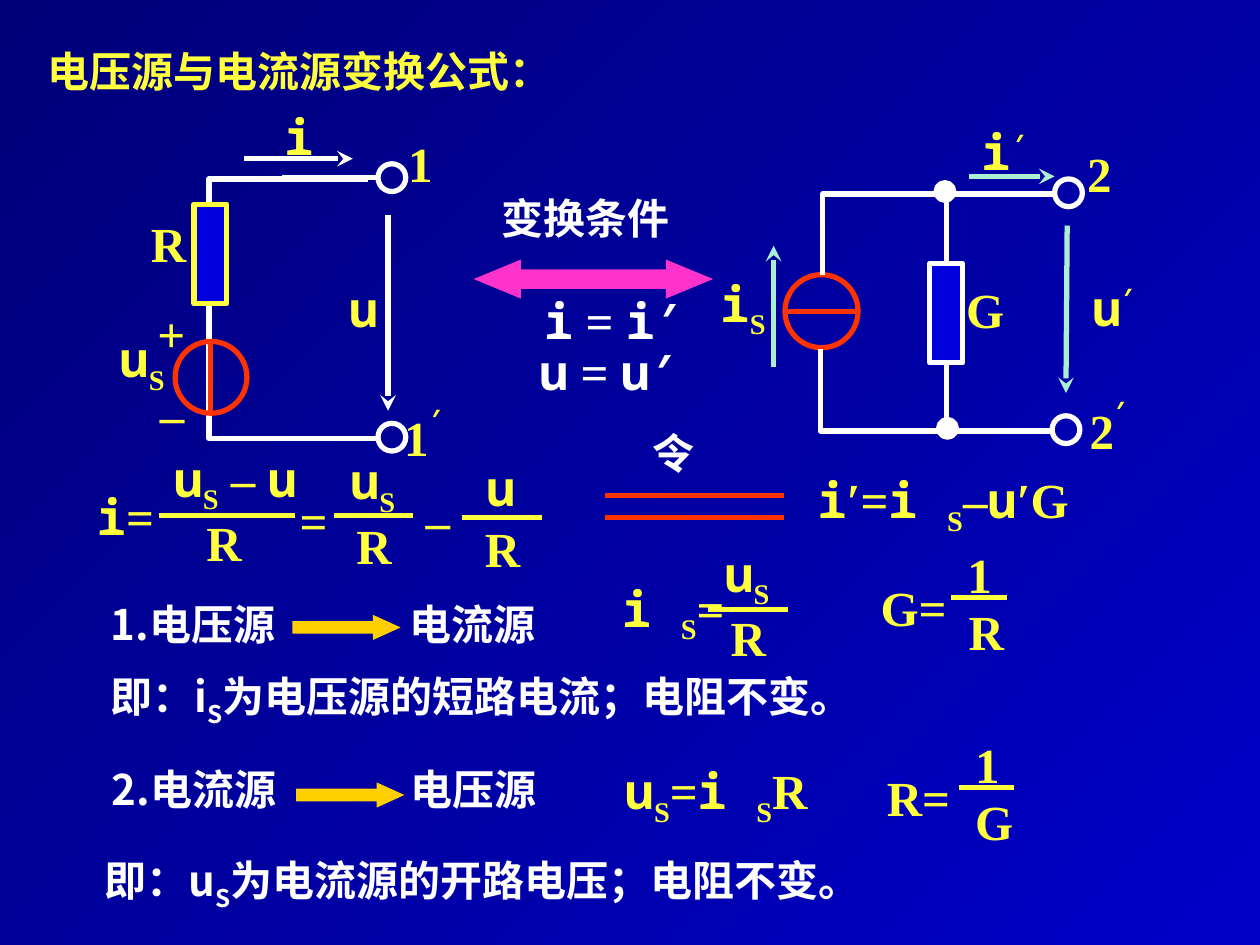
from dataclasses import dataclass
from typing import NamedTuple

from lxml import etree
from pptx import Presentation
from pptx.dml.color import RGBColor
from pptx.enum.shapes import MSO_CONNECTOR, MSO_SHAPE
from pptx.enum.text import MSO_ANCHOR, PP_ALIGN
from pptx.oxml.ns import qn
from pptx.util import Cm, Pt

STRAIGHT = MSO_CONNECTOR.STRAIGHT
OVAL, RECTANGLE = MSO_SHAPE.OVAL, MSO_SHAPE.RECTANGLE
RIGHT_ARROW, DOUBLE_ARROW = MSO_SHAPE.RIGHT_ARROW, MSO_SHAPE.LEFT_RIGHT_ARROW
LEFT, MIDDLE, BOTTOM = PP_ALIGN.LEFT, MSO_ANCHOR.MIDDLE, MSO_ANCHOR.BOTTOM


@dataclass(frozen=True)
class Theme:
    dark: str = "000078"
    light: str = "0000C8"
    yellow: str = "FFFF3D"
    white: str = "FFFFFF"
    red: str = "FF3300"
    mint: str = "AAEFD1"
    pink: str = "FF33CC"
    gold: str = "FFCF01"
    resistor: str = "0000DC"
    title: str = "Lato"
    chinese: str = "Noto Sans CJK SC"
    mono: str = "Noto Sans Mono"
    serif: str = "Times New Roman"
    formula_size: int = 28
    chinese_size: int = 24
    stroke: int = 3


THEME = Theme()


class Span(NamedTuple):
    text: str
    font: str
    baseline: int = 0


class Label(NamedTuple):
    x: float
    y: float
    spans: tuple[Span, ...]
    width: float = 0.7
    height: float = 0.57
    color: str = THEME.yellow
    size: int = THEME.formula_size


class Fraction(NamedTuple):
    x: float
    y: float
    width: float
    top: tuple[Span, ...]
    bottom: tuple[Span, ...]
    top_offset: tuple[float, float]
    bottom_offset: tuple[float, float]


def mono(text: str) -> Span:
    return Span(text, THEME.mono)


def serif(text: str) -> Span:
    return Span(text, THEME.serif)


def chinese(text: str) -> Span:
    return Span(text, THEME.chinese)


SUB_S = Span("S", THEME.serif, -25000)
CHINESE_SUB_S = Span("S", THEME.chinese, -25000)
PRIME = (Span("′", THEME.mono, 30000),)
U, I, U_S = (mono("u"),), (mono("i"),), (mono("u"), SUB_S)
R, G, ONE, TWO = ((serif(letter),) for letter in "RG12")


def inches(*values: float) -> list[Cm]:
    return [Cm(value * 2.54) for value in values]


def write(para, spans: tuple[Span, ...], color: str, size: int) -> None:
    para.alignment = LEFT
    para.font.size, para.font.bold = Pt(size), True
    para.font.color.rgb = RGBColor.from_string(color)
    for text, font, baseline in spans:
        span = para.add_run()
        span.text = text
        span.font.name = font
        properties = span._r.get_or_add_rPr()
        etree.SubElement(properties, qn("a:ea"), typeface=font)
        if baseline:
            properties.set("baseline", str(baseline))


def draw_label(page, label: Label) -> None:
    # Lines set in serif only sit slightly lower
    only_serif = all(span.font == THEME.serif for span in label.spans)
    top = label.y + (0.03 if only_serif else 0)
    box = page.shapes.add_textbox(*inches(label.x, top, label.width, label.height))
    box.text_frame.word_wrap = True
    box.text_frame.vertical_anchor = MIDDLE
    write(box.text_frame.paragraphs[0], label.spans, label.color, label.size)


def draw_chinese(page, x: float, y: float, width: float, *spans: Span) -> None:
    draw_label(page, Label(x, y, spans, width, 0.5, THEME.white, THEME.chinese_size))


def paint(shape, fill: str | None, line: str | None) -> None:
    shape.shadow.inherit = False
    if fill:
        shape.fill.solid()
        shape.fill.fore_color.rgb = RGBColor.from_string(fill)
    else:
        shape.fill.background()
    if line:
        shape.line.color.rgb = RGBColor.from_string(line)
        shape.line.width = Pt(THEME.stroke)
    else:
        shape.line.fill.background()


def draw_shape(page, kind, x: float, y: float, width: float, height: float,
               fill: str | None = None, line: str | None = None, head: float | None = None) -> None:
    shape = page.shapes.add_shape(kind, *inches(x, y, width, height))
    if head:
        shape.adjustments[0], shape.adjustments[1] = 0.5, head
    paint(shape, fill, line)


def draw_line(page, x1: float, y1: float, x2: float, y2: float, color: str, arrow: bool = False) -> None:
    line = page.shapes.add_connector(STRAIGHT, *inches(x1, y1, x2, y2))
    line.line.color.rgb = RGBColor.from_string(color)
    line.line.width = Pt(THEME.stroke)
    if arrow:
        etree.SubElement(line.line._get_or_add_ln(), qn("a:tailEnd"), type="stealth")
    etree.SubElement(line._element.spPr, qn("a:effectLst"))


def draw_wire(page, *points: tuple[float, float]) -> None:
    start, *rest = [inches(*point) for point in points]
    builder = page.shapes.build_freeform(*start)
    builder.add_line_segments(rest, close=False)
    paint(builder.convert_to_shape(), None, THEME.white)


def draw_fraction(page, part: Fraction) -> None:
    draw_line(page, part.x, part.y, part.x + part.width, part.y, THEME.yellow)
    for spans, (dx, dy) in ((part.top, part.top_offset), (part.bottom, part.bottom_offset)):
        draw_label(page, Label(part.x + dx, part.y + dy, spans, 1.24))


def draw_current_source_circuit(page) -> None:
    draw_shape(page, OVAL, 6.23, 2.18, 0.58, 0.58, line=THEME.red)
    draw_line(page, 6.24, 2.47, 6.82, 2.47, THEME.red)
    draw_wire(page, (6.53, 2.18), (6.53, 1.54), (8.39, 1.54))
    draw_wire(page, (6.51, 2.77), (6.51, 3.42), (8.37, 3.42))
    draw_line(page, 7.51, 1.54, 7.51, 3.42, THEME.white)
    draw_shape(page, RECTANGLE, 7.38, 2.09, 0.26, 0.79, THEME.resistor, THEME.white)
    for x, y in ((8.37, 1.42), (8.35, 3.3)):
        draw_shape(page, OVAL, x, y, 0.22, 0.22, line=THEME.white)
    for x, y in ((7.43, 1.45), (7.45, 3.33)):
        draw_shape(page, OVAL, x, y, 0.14, 0.14, THEME.white, THEME.white)
    for ends in ((6.14, 2.91, 6.14, 1.95), (8.47, 1.79, 8.46, 3.12), (7.69, 1.4, 8.37, 1.4)):
        draw_line(page, *ends, THEME.mint, arrow=True)
    for x, y, spans in ((5.62, 2.15, (mono("i"), SUB_S)), (8.57, 2.15, U), (8.79, 2.13, PRIME),
                        (7.69, 0.91, I), (7.93, 0.91, PRIME), (7.57, 2.14, G),
                        (8.53, 1.06, TWO), (8.55, 3.1, TWO), (8.73, 3.03, PRIME)):
        draw_label(page, Label(x, y, spans))


def draw_voltage_source_circuit(page) -> None:
    draw_wire(page, (2.92, 1.42), (1.66, 1.42), (1.66, 3.48), (3.02, 3.48))
    draw_line(page, 2.24, 1.41, 3, 1.41, THEME.white)
    draw_shape(page, RECTANGLE, 1.54, 1.62, 0.26, 0.79, THEME.resistor, THEME.yellow)
    draw_shape(page, OVAL, 1.39, 2.71, 0.57, 0.57, line=THEME.red)
    draw_line(page, 1.67, 2.71, 1.67, 3.28, THEME.red)
    for y in (1.3, 3.36):
        draw_shape(page, OVAL, 3, y, 0.22, 0.22, line=THEME.white)
    for ends in ((3.08, 1.71, 3.08, 3.26), (1.94, 1.26, 2.8, 1.26)):
        draw_line(page, *ends, THEME.white, arrow=True)
    for x, y, spans in ((1.15, 2.33, (serif("+"),)), (1.17, 2.97, (serif("–"),)), (0.85, 2.59, U_S),
                        (1.1, 1.61, R), (2.67, 2.16, U), (2.16, 0.79, I),
                        (3.14, 0.98, ONE), (3.11, 3.15, ONE), (3.3, 3.09, PRIME)):
        draw_label(page, Label(x, y, spans))


def draw_conditions(page) -> None:
    draw_shape(page, DOUBLE_ARROW, 3.76, 2.06, 1.9, 0.31, THEME.pink, head=1.21)
    draw_chinese(page, 3.88, 1.48, 1.78, chinese("变换条件"))
    for x, y, letter in ((4.22, 2.24, "i"), (4.18, 2.65, "u")):
        spans = (mono(letter), serif(" = "), mono(letter + "′"))
        draw_label(page, Label(x, y, spans, 1.67, 0.59, THEME.white))


def draw_formulas(page) -> None:
    for x, y, spans in (
        (0.67, 3.81, (mono("i"), serif("="))), (2.28, 3.81, (serif("="),)), (3.28, 3.81, (serif("–"),)),
        (6.39, 3.71, (mono("i"), serif("′="), mono("i "), SUB_S, serif("–"), mono("u"), serif("′G"))),
        (4.84, 4.57, (mono("i "), SUB_S, serif("="))), (6.89, 4.5, (serif("G="),)),
        (4.86, 6.02, (mono("u"), SUB_S, serif("="), mono("i "), SUB_S, serif("R"))),
        (6.94, 6.01, (serif("R="),)),
    ):
        draw_label(page, Label(x, y, spans, 2.86))
    difference = (*U_S, serif(" – "), mono("u"))
    for part in (
        Fraction(1.26, 4.09, 1.08, difference, R, (0.02, -0.55), (0.28, -0.1)),
        Fraction(2.65, 4.09, 0.63, U_S, R, (0.03, -0.53), (0.08, -0.08)),
        Fraction(3.67, 4.11, 0.63, U, R, (0.09, -0.53), (0.08, -0.08)),
        Fraction(5.62, 4.84, 0.63, U_S, R, (0.03, -0.55), (0.08, -0.1)),
        Fraction(7.55, 4.74, 0.44, ONE, R, (0.03, -0.5), (0.04, -0.05)),
        Fraction(7.61, 6.25, 0.44, ONE, G, (0.03, -0.5), (0.03, -0.05)),
    ):
        draw_fraction(page, part)
    # Long equals sign
    for y in (3.93, 4.11):
        draw_line(page, 4.8, y, 6.22, y, THEME.red)
    draw_chinese(page, 5.08, 3.34, 0.77, chinese("令"))


def draw_rules(page) -> None:
    for x, y, source, target, arrow_x, arrow_y in (
        (0.78, 4.7, "1.电压源", "电流源", 2.32, 4.88),
        (0.79, 6.01, "2.电流源", "电压源", 2.35, 6.21),
    ):
        draw_chinese(page, x, y, 1.7, chinese(source))
        draw_chinese(page, x + 2.37, y, 1.5, chinese(target))
        draw_shape(page, RIGHT_ARROW, arrow_x, arrow_y, 0.86, 0.2, THEME.gold, head=1.1)
    for x, y, start, rest in ((0.78, 5.3, "即：i", "为电压源的短路电流；电阻不变。"),
                              (0.73, 6.76, "即：u", "为电流源的开路电压；电阻不变。")):
        draw_chinese(page, x, y, 7.45, chinese(start), CHINESE_SUB_S, chinese(rest))


def main() -> None:
    deck = Presentation()
    deck.slide_width, deck.slide_height = inches(10, 7.5)
    page = deck.slides.add_slide(deck.slide_layouts[5])

    # Background
    fill = page.background.fill
    fill.gradient()
    fill.gradient_angle = 315
    for stop, position, color in zip(fill.gradient_stops, (0, 1), (THEME.dark, THEME.light)):
        stop.position = position
        stop.color.rgb = RGBColor.from_string(color)

    # Title
    title = page.shapes.title
    title.left, title.top, title.width, title.height = inches(0.28, 0.24, 4.4, 0.57)
    title.text_frame.vertical_anchor = BOTTOM
    heading = (Span("电压源与电流源变换公式：", THEME.title),)
    write(title.text_frame.paragraphs[0], heading, THEME.yellow, THEME.chinese_size)

    draw_current_source_circuit(page)
    draw_conditions(page)
    draw_formulas(page)
    draw_rules(page)
    draw_voltage_source_circuit(page)
    deck.save("out.pptx")


if __name__ == "__main__":
    main()
